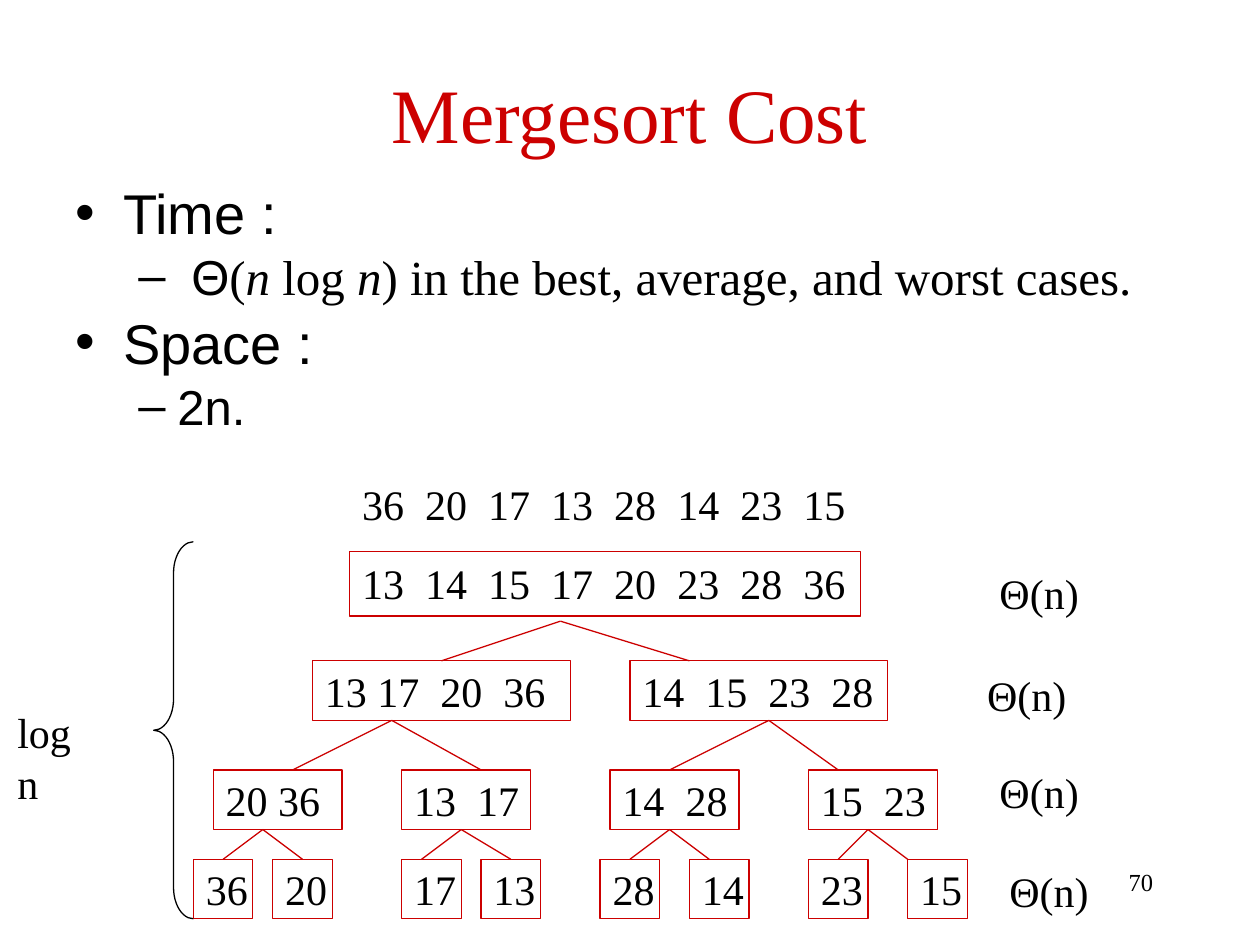
from dataclasses import dataclass
from typing import Any, NamedTuple

from lxml.etree import SubElement
from pptx import Presentation
from pptx.dml.color import RGBColor
from pptx.enum.shapes import MSO_CONNECTOR as Link, MSO_SHAPE as Preset
from pptx.enum.text import MSO_ANCHOR as Anchor, MSO_AUTO_SIZE as Fit, PP_ALIGN as Align
from pptx.oxml.ns import qn
from pptx.util import Inches, Pt


@dataclass(frozen=True)
class Theme:
    red: RGBColor = RGBColor(0xCC, 0x00, 0x00)
    black: RGBColor = RGBColor(0x00, 0x00, 0x00)
    serif: str = "Times New Roman"
    sans: str = "Arial"
    title: int = 44
    topic: int = 32
    detail: int = 28
    node: int = 24
    number: int = 14
    gap: int = 6
    line: float = 0.75


class Area(NamedTuple):
    left: float
    top: float
    width: float
    height: float


class Node(NamedTuple):
    column: float
    row: float
    width: float
    height: float
    values: tuple[str, ...]
    anchor: Any = Anchor.MIDDLE


class Label(NamedTuple):
    column: float
    row: float
    width: float
    values: tuple[str, ...]


class Fork(NamedTuple):
    top_row: float
    bottom_row: float
    left: float
    peak: float
    right: float


class Piece(NamedTuple):
    text: str
    font: str
    italic: bool = False


class Point(NamedTuple):
    bullet: str
    size: int
    margin: float
    hang: float
    before: float
    pieces: tuple[Piece, ...]


THEME = Theme()
WIDTH, HEIGHT = 10, 7.5
UNIT = WIDTH / 127
TREE_LEFT, TREE_TOP = 1.22, 4.3
THETA = ("Θ(n)",)

POINTS = (
    Point("•", THEME.topic, 0.38, 0.38, 0, (Piece("Time :", THEME.sans),)),
    Point("–", THEME.detail, 0.92, 0.42, 7.4, (
        Piece("Θ", THEME.sans),
        Piece("(", THEME.serif),
        Piece("n", THEME.serif, True),
        Piece(" log ", THEME.serif),
        Piece("n", THEME.serif, True),
        Piece(") in the best, average, and worst cases.", THEME.serif),
    )),
    Point("•", THEME.topic, 0.38, 0.38, 9, (Piece("Space :", THEME.sans),)),
    Point("–", THEME.detail, 0.81, 0.31, 7.4, (Piece("2n.", THEME.sans),)),
)

LEAVES = ((4, "36"), (12, "20"), (25, "17"), (33, "13"),
          (45, "28"), (54, "14"), (66, "23"), (76, "15"))
PAIRS = ((6, ("20 36",)), (25, ("13", "17")), (46, ("14", "28")), (66, ("15", "23")))
HALVES = ((16, ("13 17", "20", "36")), (48, ("14", "15", "23", "28")))
SORTED = ("13", "14", "15", "17", "20", "23", "28", "36")
NODES = (
    Node(19.75, 1, 51.5, 6.5, SORTED, Anchor.TOP),
    *(Node(column, 12, 26, 6, values) for column, values in HALVES),
    *(Node(column, 23, 13, 6, values) for column, values in PAIRS),
    *(Node(column, 32, 6, 6, (value,)) for column, value in LEAVES),
)
FORKS = (
    Fork(8, 12, 29, 41, 54),
    Fork(18, 23, 14, 24, 33), Fork(18, 23, 52, 62, 69),
    Fork(29, 32, 7, 11, 15), Fork(29, 32, 27, 31, 36),
    Fork(29, 32, 48, 52, 56), Fork(29, 32, 69, 72, 76),
)
LABELS = (
    Label(19.75, -7, 52.25, ("36", "20", "17", "13", "28", "14", "23", "15")),
    Label(84, 2, 10.75, THETA),
    Label(82.75, 12.25, 10.75, THETA),
    Label(84, 22, 10.75, THETA),
    Label(85, 32, 10.75, THETA),
    Label(-15, 16, 10, ("logn",)),
)


def apply(target: Any, formats: dict[str, Any]) -> None:
    """Set every named format value on the target."""
    for name, value in formats.items():
        setattr(target, name, value)


def share(left: float, top: float, width: float, height: float) -> Area:
    """Turn shares of the slide into lengths."""
    return Area(*map(Inches, (left * WIDTH, top * HEIGHT, width * WIDTH, height * HEIGHT)))


def cell(column: float, row: float, width: float, height: float) -> Area:
    """Turn columns and rows of the tree grid into lengths."""
    return Area(Inches(TREE_LEFT + column * UNIT), Inches(TREE_TOP + row * UNIT),
                Inches(width * UNIT), Inches(height * UNIT))


def write(paragraph: Any, text: str, size: int, color: RGBColor = THEME.black,
          font: str = THEME.serif, italic: bool = False) -> Any:
    """Add one formatted run to a paragraph."""
    run = paragraph.add_run()
    run.text = text
    apply(run.font, {"size": Pt(size), "name": font, "italic": italic})
    run.font.color.rgb = color
    return run


def write_values(frame: Any, values: tuple[str, ...]) -> None:
    """Write tree values with a widened space between them."""
    paragraph = frame.paragraphs[0]
    paragraph.alignment = Align.LEFT
    for index, value in enumerate(values):
        if index:
            gap = write(paragraph, " ", THEME.node)
            gap.font._element.set("spc", str(THEME.gap * 100))
        write(paragraph, value, THEME.node)


def draw_line_text(shapes: Any, area: Area, text: str, size: int,
                   color: RGBColor, align: Any, anchor: Any) -> None:
    """Draw a single line of text in its area."""
    frame = shapes.add_textbox(*area).text_frame
    apply(frame, {"word_wrap": True, "vertical_anchor": anchor})
    frame.paragraphs[0].alignment = align
    write(frame.paragraphs[0], text, size, color)


def draw_points(shapes: Any, area: Area, points: tuple[Point, ...]) -> None:
    """Draw the bulleted cost summary."""
    frame = shapes.add_textbox(*area).text_frame
    frame.word_wrap = True
    for index, point in enumerate(points):
        paragraph = frame.add_paragraph() if index else frame.paragraphs[0]
        apply(paragraph, {"line_spacing": 0.8, "space_before": Pt(point.before)})
        properties = paragraph._p.get_or_add_pPr()
        properties.set("marL", str(Inches(point.margin)))
        properties.set("indent", str(-Inches(point.hang)))
        SubElement(properties, qn("a:buFont")).set("typeface", THEME.sans)
        SubElement(properties, qn("a:buChar")).set("char", point.bullet)
        for piece in point.pieces:
            write(paragraph, piece.text, point.size, font=piece.font, italic=piece.italic)


def draw_outline(shapes: Any, preset: Any, area: Area, color: RGBColor) -> Any:
    """Draw an unfilled preset shape."""
    outline = shapes.add_shape(preset, *area)
    outline.shadow.inherit = False
    outline.fill.background()
    outline.line.color.rgb = color
    outline.line.width = Pt(THEME.line)
    return outline


def draw_node(shapes: Any, node: Node) -> None:
    """Draw one boxed run of values."""
    frame = draw_outline(shapes, Preset.RECTANGLE, cell(*node[:4]), THEME.red).text_frame
    apply(frame, {"word_wrap": False, "vertical_anchor": node.anchor})
    write_values(frame, node.values)


def draw_fork(shapes: Any, fork: Fork) -> None:
    """Draw the two branches below a node."""
    peak = cell(fork.peak, fork.top_row, 0, 0)
    for column in (fork.left, fork.right):
        foot = cell(column, fork.bottom_row, 0, 0)
        branch = shapes.add_connector(Link.STRAIGHT, *foot[:2], *peak[:2])
        branch.line.color.rgb = THEME.red
        branch.line.width = Pt(THEME.line)
        SubElement(branch._element.spPr, qn("a:effectLst"))


def draw_label(shapes: Any, label: Label) -> None:
    """Draw unboxed text on the tree grid."""
    area = cell(label.column, label.row, label.width, 6.4)
    frame = shapes.add_textbox(*area).text_frame
    apply(frame, {"word_wrap": False, "auto_size": Fit.SHAPE_TO_FIT_TEXT})
    write_values(frame, label.values)


def main() -> None:
    """Build the slide on mergesort cost."""
    deck = Presentation()
    apply(deck, {"slide_width": Inches(WIDTH), "slide_height": Inches(HEIGHT)})
    shapes = deck.slides.add_slide(deck.slide_layouts[6]).shapes
    draw_line_text(shapes, share(0.717, 0.911, 0.208, 0.067), "70", THEME.number,
                   THEME.black, Align.RIGHT, Anchor.TOP)
    draw_line_text(shapes, share(0.05, 0.053, 0.9, 0.133), "Mergesort Cost", THEME.title,
                   THEME.red, Align.CENTER, Anchor.MIDDLE)
    draw_points(shapes, share(0.05, 0.196, 0.9, 0.704), POINTS)
    for draw, parts in ((draw_node, NODES), (draw_fork, FORKS), (draw_label, LABELS)):
        for part in parts:
            draw(shapes, part)
    brace = draw_outline(shapes, Preset.LEFT_BRACE, cell(0, 0, 4, 38), THEME.black)
    brace.adjustments[0], brace.adjustments[1] = 0.79, 0.5
    deck.save("out.pptx")


if __name__ == "__main__":
    main()
